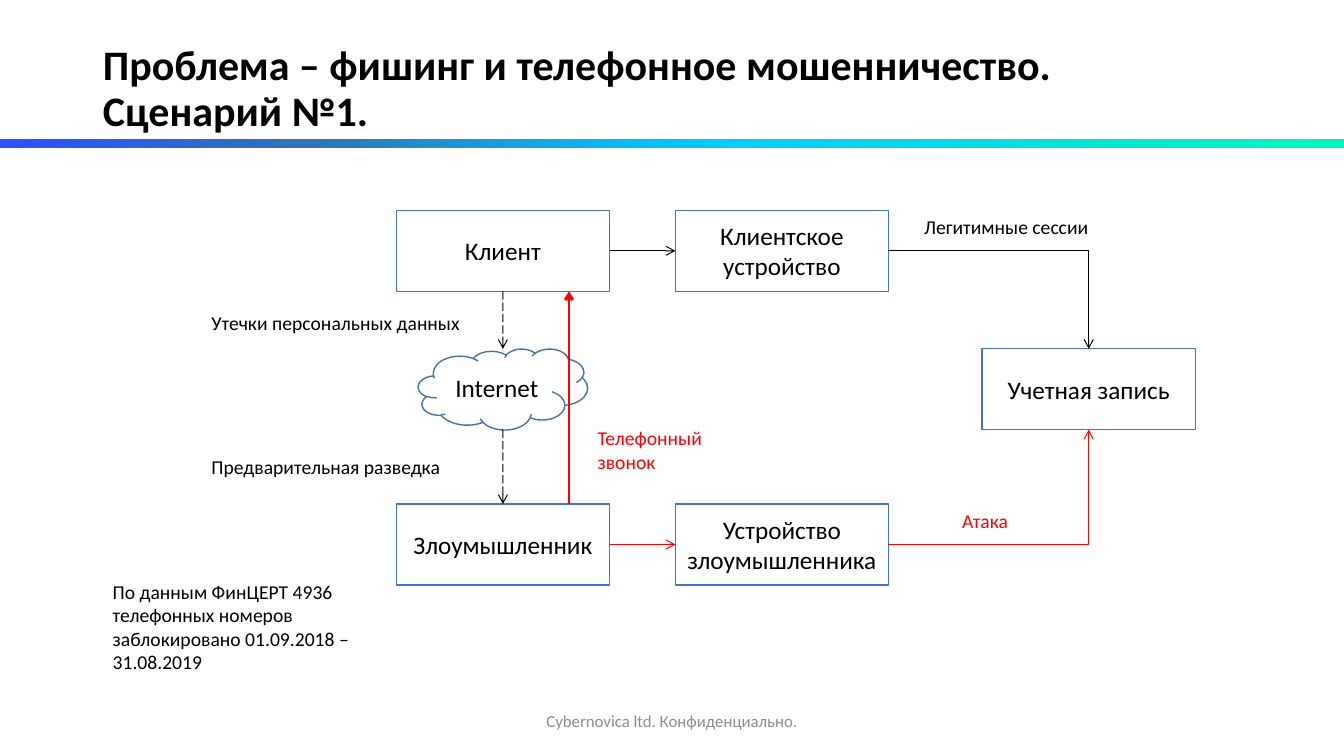
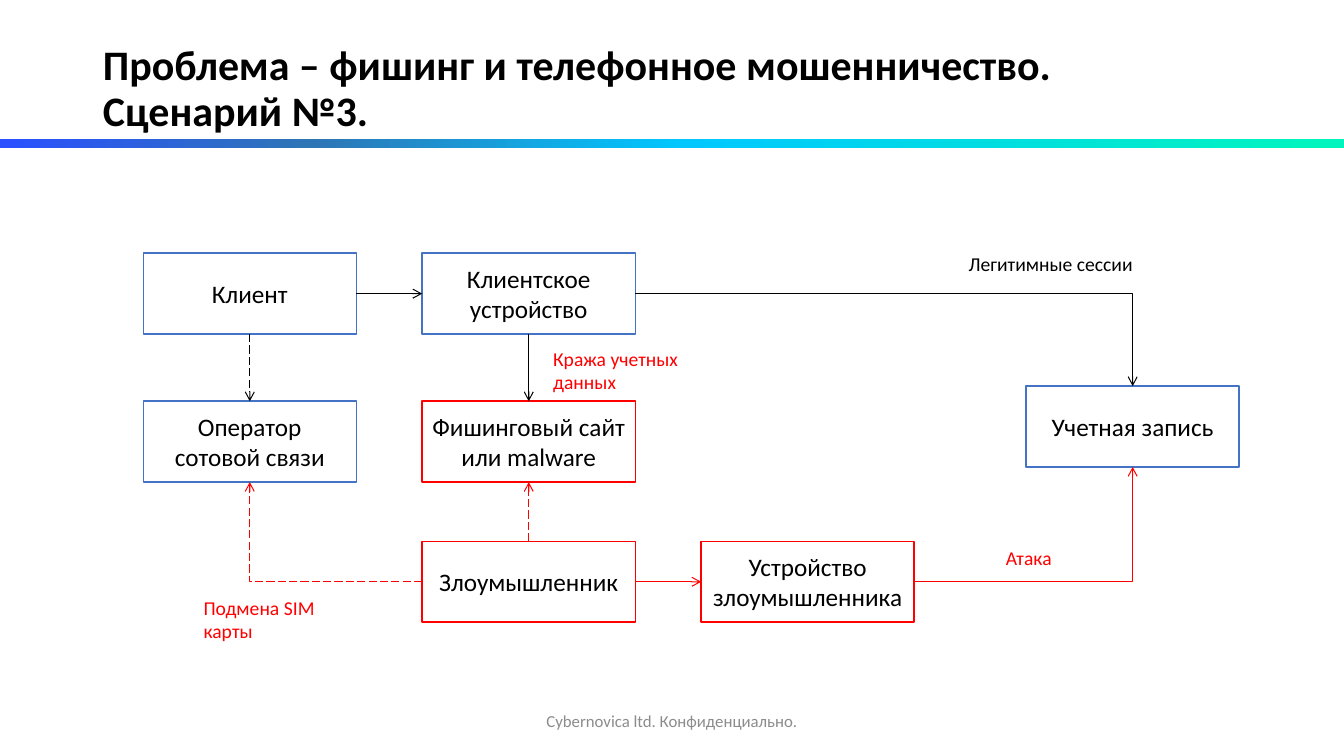
from lxml.etree import SubElement
from pptx import Presentation
from pptx.dml.color import RGBColor
from pptx.enum.dml import MSO_LINE
from pptx.enum.shapes import MSO_CONNECTOR, MSO_SHAPE
from pptx.enum.text import MSO_ANCHOR, MSO_AUTO_SIZE, PP_ALIGN
from pptx.oxml.ns import qn
from pptx.util import Cm, Pt

RECT, CLOUD = MSO_SHAPE.RECTANGLE, MSO_SHAPE.CLOUD
STRAIGHT, ELBOW = MSO_CONNECTOR.STRAIGHT, MSO_CONNECTOR.ELBOW
LEFT_ALIGN, CENTER = PP_ALIGN.LEFT, PP_ALIGN.CENTER
MIDDLE = MSO_ANCHOR.MIDDLE
LONG_DASH = MSO_LINE.LONG_DASH
TOP, LEFT, BOTTOM, RIGHT = range(4)

COLORS = {"black": "000000", "white": "FFFFFF", "blue": "4472C4",
          "cloud": "43739E", "red": "FF0000", "grey": "8C8C8C"}
BAND_STOPS = [(0, "2A50FF"), (23, "2E75B6"), (51, "00C8FF"), (99, "00F5BE")]
FONT = "Calibri"
TITLE = "Проблема – фишинг и телефонное мошенничество.\vСценарий №{}."
FOOTER = "Cybernovica ltd. Конфиденциально."

SLIDE_SIZE = (33.87, 19.05)
TITLE_AREA = (2.34, 1.02, 29.21, 2.49)
BAND_AREA = (0, 3.5, 33.87, 0.23)
FOOTER_AREA = (11.22, 17.65, 11.43, 1.01)
NODE_SIZE = (5.37, 2.04)
CLOUD_SIZE = (4.27, 2.04)
COLUMN_STEP = 7.03

# Nodes: name -> (column, row, text, line color); a column may be fractional.
# Links: start, side, end, side, color, dashed.
# Labels: left, top, width, height, text, color.
SCENARIOS = [
    {
        "number": 1,
        "left": 9.99,
        "rows": (5.3, 8.79, 12.7),
        "nodes": {
            "client": (0, 0, "Клиент", "blue"),
            "account": (2.1, 1, "Учетная запись", "blue"),
            "device": (1, 0, "Клиентское устройство", "blue"),
            "attacker": (0, 2, "Злоумышленник", "blue"),
            "internet": (0, 1, "Internet", "cloud"),
            "attacker device": (1, 2, "Устройство злоумышленника", "blue"),
        },
        "links": [
            ("client", BOTTOM, "internet", TOP, "black", True),
            ("internet", BOTTOM, "attacker", TOP, "black", True),
            ("device", RIGHT, "account", TOP, "black", False),
            ("attacker device", RIGHT, "account", BOTTOM, "red", False),
            ("client", RIGHT, "device", LEFT, "black", False),
            ("attacker", RIGHT, "attacker device", LEFT, "red", False),
        ],
        "calls": [((14.34, 12.7), (14.34, 7.34))],
        "labels": [
            (5.08, 7.7, 7.01, 0.86, "Утечки персональных данных", "black"),
            (5.08, 11.33, 7.01, 0.86, "Предварительная разведка", "black"),
            (14.81, 10.62, 3.76, 1.45, "Телефонный звонок", "red"),
            (24, 12.7, 2.9, 0.86, "Атака", "red"),
            (23.04, 5.28, 4.9, 0.86, "Легитимные сессии", "black"),
            (2.59, 14.48, 6.81, 2.64, "По данным ФинЦЕРТ 4936 телефонных номеров "
             "заблокировано 01.09.2018 – 31.08.2019", "black"),
        ],
    },
    {
        "number": 3,
        "left": 3.61,
        "rows": (6.38, 9.73, 10.11, 13.64),
        "nodes": {
            "client": (0, 0, "Клиент", "blue"),
            "account": (3.165, 1, "Учетная запись", "blue"),
            "device": (1, 0, "Клиентское устройство", "blue"),
            "attacker": (1, 3, "Злоумышленник", "red"),
            "attacker device": (2, 3, "Устройство злоумышленника", "red"),
            "phishing": (1, 2, "Фишинговый сайт или malware", "red"),
            "operator": (0, 2, "Оператор сотовой связи", "blue"),
        },
        "links": [
            ("device", RIGHT, "account", TOP, "black", False),
            ("attacker device", RIGHT, "account", BOTTOM, "red", False),
            ("client", RIGHT, "device", LEFT, "black", False),
            ("attacker", RIGHT, "attacker device", LEFT, "red", False),
            ("attacker", TOP, "phishing", BOTTOM, "red", True),
            ("device", BOTTOM, "phishing", TOP, "black", False),
            ("attacker", LEFT, "operator", BOTTOM, "red", True),
            ("client", BOTTOM, "operator", TOP, "black", True),
        ],
        "calls": [],
        "labels": [
            (25.1, 13.64, 2.9, 0.86, "Атака", "red"),
            (24.16, 6.22, 4.9, 0.86, "Легитимные сессии", "black"),
            (13.69, 8.61, 3.96, 1.45, "Кража учетных данных", "red"),
            (4.88, 14.88, 3.58, 1.45, "Подмена SIM карты", "red"),
        ],
    },
]


def rgb(name):
    return RGBColor.from_string(COLORS[name])


def lengths(values):
    return [Cm(value) for value in values]


def write(shape, text, size, color="black", align=LEFT_ALIGN, anchor=None, bold=False):
    frame = shape.text_frame
    frame.text = text
    settings = {"word_wrap": True, "auto_size": MSO_AUTO_SIZE.NONE,
                "vertical_anchor": anchor}
    for name, value in settings.items():
        setattr(frame, name, value)
    para = frame.paragraphs[0]
    para.alignment = align
    for span in para.runs:
        for name, value in {"name": FONT, "size": Pt(size), "bold": bold}.items():
            setattr(span.font, name, value)
        span.font.color.rgb = rgb(color)
    return para


def add_band(page):
    band = page.shapes.add_shape(RECT, *lengths(BAND_AREA))
    band.shadow.inherit = False
    band.line.fill.background()
    band.fill.gradient()
    band.fill.gradient_angle = 0
    stops = band.element.spPr.find(qn("a:gradFill")).find(qn("a:gsLst"))
    for stop in list(stops):
        stops.remove(stop)
    for percent, color in BAND_STOPS:
        stop = SubElement(stops, qn("a:gs"), pos=str(percent * 1000))
        SubElement(stop, qn("a:srgbClr"), val=color)


def start_page(deck, number):
    """Add a page with the shared title, band and footer."""
    page = deck.slides.add_slide(deck.slide_layouts[5])
    title = page.shapes.title
    title.left, title.top, title.width, title.height = lengths(TITLE_AREA)
    para = write(title, TITLE.format(number), 30, anchor=MIDDLE, bold=True)
    para.line_spacing = 0.9
    add_band(page)
    footer = page.shapes.add_textbox(*lengths(FOOTER_AREA))
    write(footer, FOOTER, 12, "grey", CENTER, MIDDLE)
    return page


def add_node(page, scenario, column, row, text, color):
    is_cloud = color == "cloud"
    width, height = CLOUD_SIZE if is_cloud else NODE_SIZE
    left = scenario["left"] + column * COLUMN_STEP + (NODE_SIZE[0] - width) / 2
    area = lengths((left, scenario["rows"][row], width, height))
    node = page.shapes.add_shape(CLOUD if is_cloud else RECT, *area)
    node.shadow.inherit = False
    if is_cloud:
        node.fill.background()
    else:
        node.fill.solid()
        node.fill.fore_color.rgb = rgb("white")
    node.line.color.rgb = rgb(color)
    node.line.width = Pt(1)
    write(node, text, 18, align=CENTER, anchor=MIDDLE)
    return node


def side_middle(node, side):
    across, down = {TOP: (1, 0), LEFT: (0, 1), BOTTOM: (1, 2), RIGHT: (2, 1)}[side]
    return node.left + node.width * across // 2, node.top + node.height * down // 2


def add_arrow(page, kind, start, end, color, width=0.75, dashed=False):
    arrow = page.shapes.add_connector(kind, *start, *end)
    arrow.line.color.rgb = rgb(color)
    arrow.line.width = Pt(width)
    if dashed:
        arrow.line.dash_style = LONG_DASH
    properties = arrow.element.spPr
    SubElement(properties.find(qn("a:ln")), qn("a:tailEnd"), type="arrow")
    SubElement(properties, qn("a:effectLst"))
    if kind == ELBOW:  # a single bend: across first, then up or down
        properties.find(qn("a:prstGeom")).set("prst", "bentConnector2")
    return arrow


def add_link(page, nodes, start, start_side, end, end_side, color, dashed):
    first, last = nodes[start], nodes[end]
    kind = STRAIGHT if (start_side - end_side) % 2 == 0 else ELBOW
    arrow = add_arrow(page, kind, side_middle(first, start_side),
                      side_middle(last, end_side), color, dashed=dashed)
    if first.auto_shape_type == RECT:
        arrow.begin_connect(first, start_side)
    if last.auto_shape_type == RECT:
        arrow.end_connect(last, end_side)


def build_scenario(deck, scenario):
    page = start_page(deck, scenario["number"])
    nodes = {name: add_node(page, scenario, *details)
             for name, details in scenario["nodes"].items()}
    for link in scenario["links"]:
        add_link(page, nodes, *link)
    for start, end in scenario["calls"]:
        add_arrow(page, STRAIGHT, lengths(start), lengths(end), "red", width=2)
    for *area, text, color in scenario["labels"]:
        write(page.shapes.add_textbox(*lengths(area)), text, 14, color)


def main():
    deck = Presentation()
    deck.slide_width, deck.slide_height = lengths(SLIDE_SIZE)
    for scenario in SCENARIOS:
        build_scenario(deck, scenario)
    deck.save("out.pptx")


if __name__ == "__main__":
    main()
